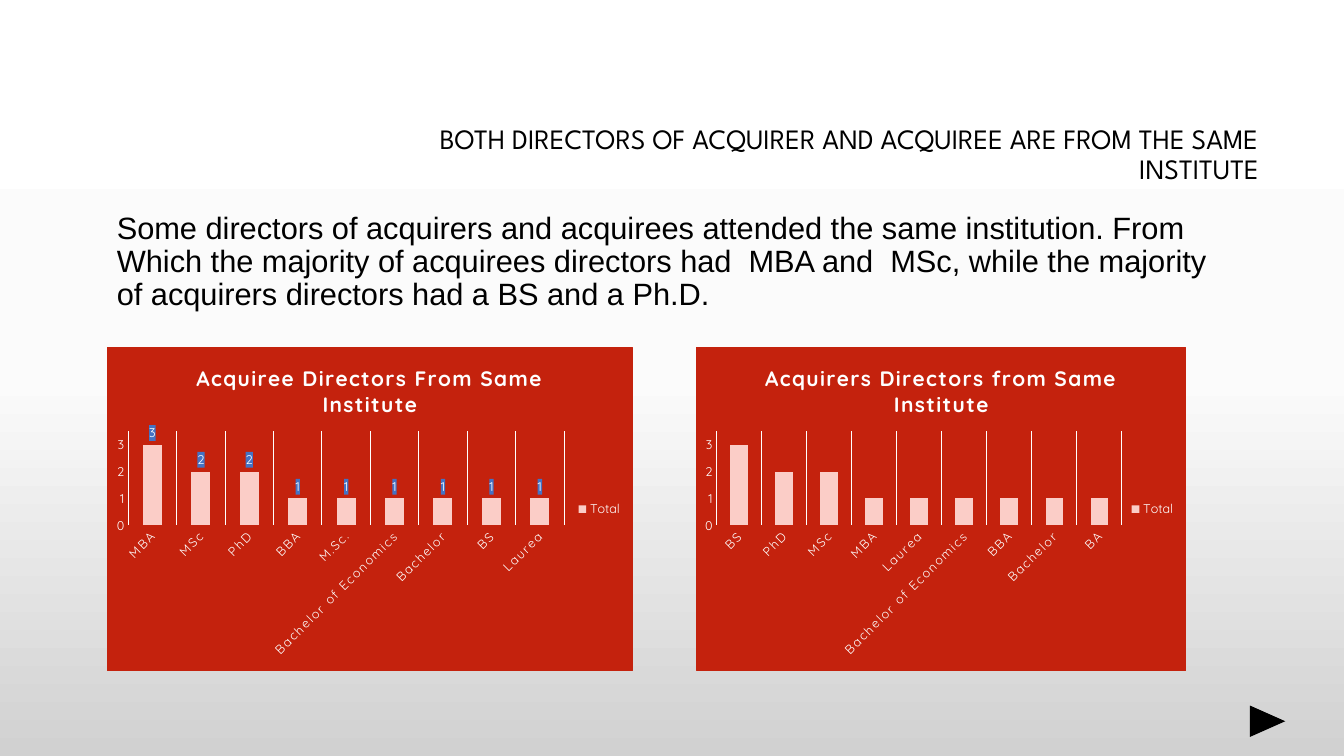
"""Build the slide comparing degrees of directors from the same institute."""
from dataclasses import dataclass

from pptx import Presentation
from pptx import util as u
from pptx.chart.data import CategoryChartData
from pptx.dml.color import RGBColor
from pptx.enum import chart as ch, shapes, text
from pptx.oxml import parse_xml
from pptx.oxml.ns import nsdecls, qn


@dataclass(frozen=True)
class Theme:
    ink: str = "000000"
    white: str = "FFFFFF"
    panel: str = "C4220D"
    bar: str = "FBCDC7"
    label_fill: str = "4472C4"
    backdrop: tuple = ((0, "FFFFFF"), (50, "FBFBFB"), (100, "D1D1D1"))
    title_font: str = "League Spartan"
    body_font: str = "Arial"
    chart_font: str = "Quicksand"
    title_size: int = 20
    body_size: int = 22
    chart_title_size: int = 15
    chart_size: int = 10
    label_size: int = 9


def style(font, name, size, color, bold=False):
    font.name, font.size, font.bold = name, u.Pt(size), bold
    font.color.rgb = RGBColor.from_string(color)


def solid(color):
    return f'<a:solidFill><a:srgbClr val="{color}"/></a:solidFill>'


theme = Theme()
prs = Presentation()
prs.slide_width, prs.slide_height = u.Cm(33.87), u.Cm(19.05)
s = prs.slides.add_slide(prs.slide_layouts[1])

stops = "".join(
    f'<a:gs pos="{pos * 1000}"><a:srgbClr val="{color}"/></a:gs>'
    for pos, color in theme.backdrop
)
s.background.fill.gradient()
grad = s.element.find(".//" + qn("a:gradFill"))
grad.getparent().replace(grad, parse_xml(
    f'<a:gradFill {nsdecls("a")} rotWithShape="1"><a:gsLst>{stops}</a:gsLst>'
    '<a:lin ang="5400000" scaled="0"/></a:gradFill>'
))

blocks = (
    (s.shapes.title, (8.05, 2.13, 23.93, 3.58),
     "BOTH DIRECTORS OF ACQUIRER AND ACQUIREE ARE FROM THE SAME INSTITUTE",
     theme.title_font, theme.title_size, text.PP_ALIGN.RIGHT, text.MSO_ANCHOR.MIDDLE),
    (s.placeholders[1], (2.69, 5.23, 28.78, 9.5),
     "Some directors of acquirers and acquirees attended the same institution. "
     "From Which the majority of acquirees directors had  MBA and  MSc, while "
     "the majority of acquirers directors had a BS and a Ph.D.",
     theme.body_font, theme.body_size, text.PP_ALIGN.LEFT, text.MSO_ANCHOR.TOP),
)
for sp, box, words, font, size, align, anchor in blocks:
    sp.left, sp.top, sp.width, sp.height = map(u.Cm, box)
    tf = sp.text_frame
    tf.text = words
    tf.word_wrap = True
    tf.auto_size = text.MSO_AUTO_SIZE.NONE
    tf.vertical_anchor = anchor
    p = tf.paragraphs[0]
    pPr = p._p.get_or_add_pPr()
    pPr.set("marL", "0")
    pPr.set("indent", "0")
    pPr.append(parse_xml(f'<a:buNone {nsdecls("a")}/>'))
    p.alignment, p.line_spacing, p.space_before = align, 0.9, u.Pt(0)
    style(p.runs[0].font, font, size, theme.ink)

arrow = s.shapes.add_shape(
    shapes.MSO_SHAPE.ISOSCELES_TRIANGLE,
    u.Cm(31.55), u.Cm(17.73), u.Cm(0.79), u.Cm(0.89))
arrow.rotation = 90
arrow.shadow.inherit = False
arrow.fill.solid()
arrow.fill.fore_color.rgb = RGBColor.from_string(theme.ink)
arrow.line.fill.background()

charts = (
    ("Acquiree Directors From Same Institute", 2.69, 13.26, True,
     ("MBA", "MSc", "PhD", "BBA", "M.Sc.", "Bachelor of Economics",
      "Bachelor", "BS", "Laurea")),
    ("Acquirers Directors from Same Institute", 17.55, 12.34, False,
     ("BS", "PhD", "MSc", "MBA", "Laurea", "Bachelor of Economics",
      "BBA", "Bachelor", "BA")),
)
for heading, left, width, labelled, degrees in charts:
    data = CategoryChartData()
    data.categories = degrees
    data.add_series("Total", (3, 2, 2, 1, 1, 1, 1, 1, 1))
    chart = s.shapes.add_chart(
        ch.XL_CHART_TYPE.COLUMN_CLUSTERED,
        u.Cm(left), u.Cm(8.74), u.Cm(width), u.Cm(8.18), data).chart
    style(chart.font, theme.chart_font, theme.chart_size, theme.ink)
    chart.element.find(qn("c:chart")).addnext(parse_xml(
        f'<c:spPr {nsdecls("c", "a")}>{solid(theme.panel)}'
        f'<a:ln w="9525">{solid(theme.panel)}</a:ln></c:spPr>'))

    chart.has_title = True
    tf = chart.chart_title.text_frame
    tf.text = heading
    r = tf.paragraphs[0].runs[0]
    style(r.font, theme.chart_font, theme.chart_title_size, theme.white, True)
    r._r.get_or_add_rPr().set("spc", "100")
    chart.chart_title.include_in_layout = False

    chart.has_legend = True
    chart.legend.position = ch.XL_LEGEND_POSITION.RIGHT
    chart.legend.include_in_layout = False
    style(chart.legend.font, theme.chart_font, theme.label_size, theme.white)

    for axis in (chart.category_axis, chart.value_axis):
        axis.major_tick_mark = axis.minor_tick_mark = ch.XL_TICK_MARK.NONE
        axis.format.line.fill.background()
        style(axis.tick_labels.font, theme.chart_font, theme.label_size, theme.white)
    cat_axis, val_axis = chart.category_axis, chart.value_axis
    cat_axis.has_major_gridlines = True
    grid = cat_axis.major_gridlines.format.line
    grid.width = u.Pt(0.75)
    grid.color.rgb = RGBColor.from_string(theme.white)
    txPr = cat_axis._element.find(qn("c:txPr"))
    txPr.find(qn("a:bodyPr")).set("rot", "-2700000")
    txPr.find(".//" + qn("a:defRPr")).set("spc", "120")
    val_axis.has_major_gridlines = False
    val_axis.minimum_scale, val_axis.maximum_scale = 0, 3.5
    val_axis.major_unit = 1

    plot = chart.plots[0]
    plot.gap_width = 154
    plot.vary_by_categories = False
    bars = plot.series[0]
    bars.format.fill.solid()
    bars.format.fill.fore_color.rgb = RGBColor.from_string(theme.bar)
    if labelled:
        labels = bars.data_labels
        labels.show_value = True
        labels.position = ch.XL_LABEL_POSITION.OUTSIDE_END
        style(labels.font, theme.chart_font, theme.label_size, theme.white)
        labels._element.find(qn("c:txPr")).addprevious(parse_xml(
            f'<c:spPr {nsdecls("c", "a")}>{solid(theme.label_fill)}</c:spPr>'))

    area = chart.element.find(".//" + qn("c:plotArea"))
    for old in area.findall(qn("c:layout")):
        area.remove(old)
    frame = "".join(
        f'<c:{key} val="{value}"/>' for key, value in (
            ("layoutTarget", "inner"), ("xMode", "edge"), ("yMode", "edge"),
            ("x", 0.04), ("y", 0.26), ("w", 0.83), ("h", 0.29)))
    area.insert(0, parse_xml(
        f'<c:layout {nsdecls("c")}><c:manualLayout>{frame}'
        '</c:manualLayout></c:layout>'))

prs.save("out.pptx")
